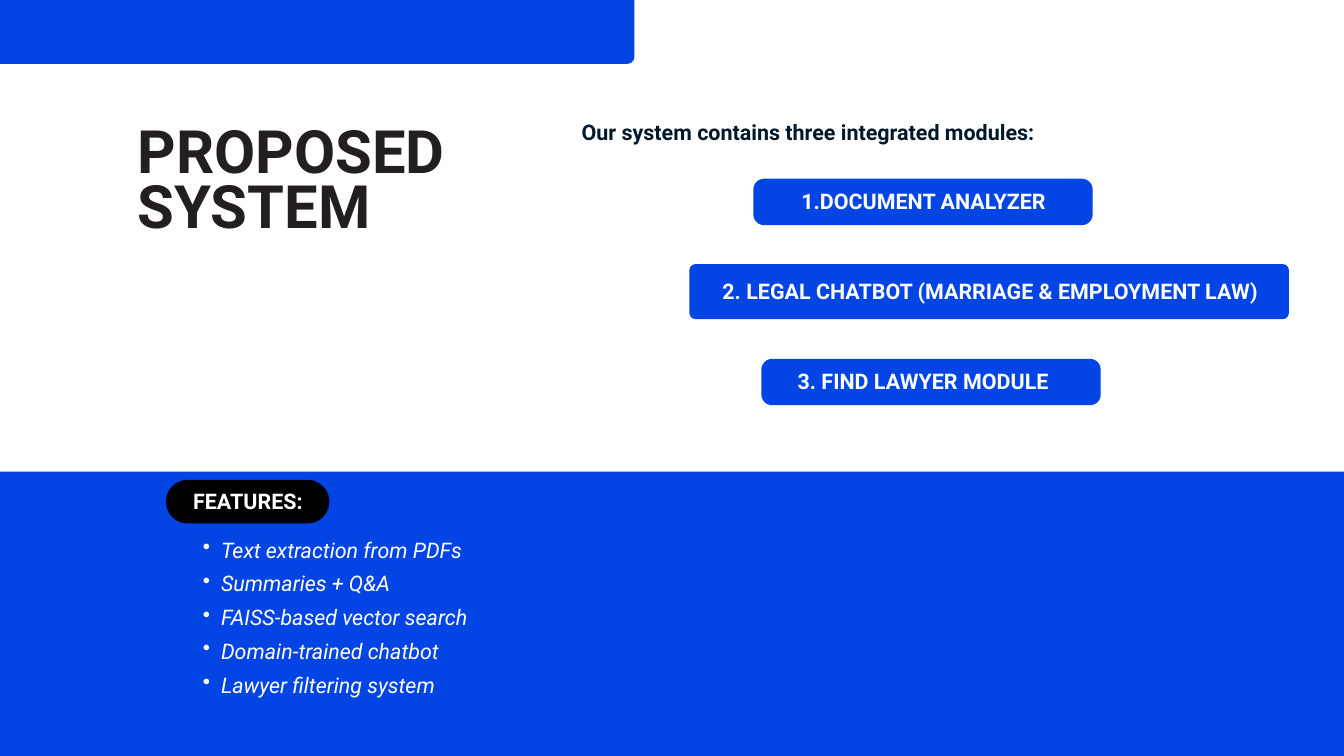
from lxml import etree
from pptx import Presentation
from pptx.dml.color import RGBColor
from pptx.enum.shapes import MSO_SHAPE
from pptx.enum.text import PP_ALIGN
from pptx.oxml.ns import qn
from pptx.util import Pt

ROUNDED, RECT = MSO_SHAPE.ROUNDED_RECTANGLE, MSO_SHAPE.RECTANGLE
LEFT, CENTER = PP_ALIGN.LEFT, PP_ALIGN.CENTER
PX = 9144  # 100 px to the inch
BLUE, BLACK, WHITE = "0345E4", "000000", "FFFFFF"

prs = Presentation()
prs.slide_width, prs.slide_height = 2000 * PX, 1125 * PX
slide = prs.slides.add_slide(prs.slide_layouts[6])


def add_panel(left, top, width, height, color, radius=0):
    panel = slide.shapes.add_shape(ROUNDED if radius else RECT,
                                   left * PX, top * PX, width * PX, height * PX)
    if radius:
        panel.adjustments[0] = radius / height
    panel.shadow.inherit = False
    panel.fill.solid()
    panel.fill.fore_color.rgb = RGBColor.from_string(color)
    panel.line.fill.background()


def add_text(left, top, width, height, lines, color=WHITE, size=23, spacing=32.2,
             align=CENTER, italic=False, bullet=None):
    frame = slide.shapes.add_textbox(left * PX, top * PX, width * PX, height * PX).text_frame
    frame.word_wrap = True
    frame.margin_left = frame.margin_top = frame.margin_right = frame.margin_bottom = 0
    frame.text = "\n".join(lines)
    for paragraph in frame.paragraphs:
        paragraph.alignment = align
        paragraph.line_spacing = Pt(spacing)
        if bullet:
            tag, attribute, value = bullet
            paragraph.level = 1
            props = paragraph._p.get_or_add_pPr()
            props.set("marL", str(54 * PX))
            props.set("indent", str(-27 * PX))
            etree.SubElement(props, qn(tag)).set(attribute, value)
        for run in paragraph.runs:
            run.font.name = "Roboto"
            run.font.size = Pt(size)
            run.font.bold = not italic
            run.font.italic = italic
            run.font.color.rgb = RGBColor.from_string(color)


# Background bands, bleeding over the slide edges
add_panel(-101, 702, 2202, 493, BLUE)
add_panel(-70, -133, 1014, 228, BLUE, radius=10)

# Heading and introduction
add_text(205, 194, 724, 189, ["PROPOSED SYSTEM"], "231F20", 64, 58.9, LEFT)
add_text(842, 170, 722, 48, ["Our system contains three integrated modules:"], "021828")

# Modules
add_panel(1121, 266, 505, 69, BLUE, radius=16)
add_text(1133, 274, 456, 48, ["DOCUMENT ANALYZER"],
         bullet=("a:buAutoNum", "type", "arabicPeriod"))
add_panel(1026, 393, 892, 82, BLUE, radius=9)
add_text(1014, 407, 920, 48, ["2. LEGAL CHATBOT (MARRIAGE & EMPLOYMENT LAW)"])
add_panel(1133, 534, 505, 69, BLUE, radius=16)
add_text(1146, 541, 456, 48, ["3. FIND LAWYER MODULE"])

# Features
add_panel(247, 714, 243, 65, BLACK, radius=32)
add_text(217, 720, 304, 48, ["FEATURES:"])
features = [
    "Text extraction from PDFs",
    "Summaries + Q&A",
    "FAISS-based vector search",
    "Domain-trained chatbot",
    "Lawyer filtering system",
]
add_text(275, 787, 738, 313, features, spacing=36.1, align=LEFT, italic=True,
         bullet=("a:buChar", "char", "•"))

prs.save("out.pptx")
